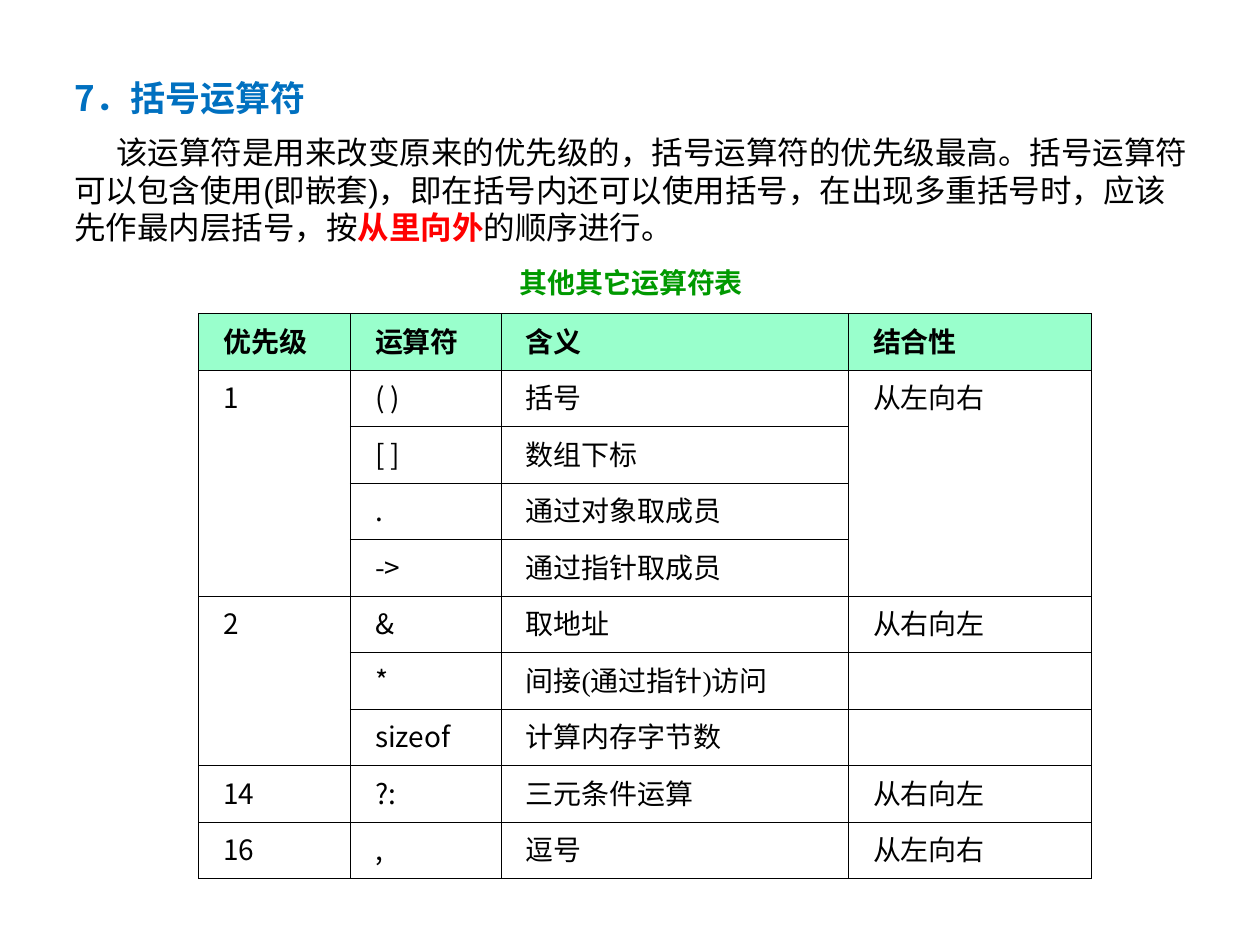
"""Slide on the bracket operator with a table of other operators."""
from lxml.etree import SubElement
from pptx import Presentation
from pptx.dml.color import RGBColor
from pptx.enum.text import MSO_ANCHOR, PP_ALIGN
from pptx.oxml.ns import qn
from pptx.util import Cm, Pt

SANS, SERIF, LATIN = "Noto Sans CJK SC", "Times New Roman", "Arial"
BLACK = "000000"


def add_run(paragraph, text, size, font, color=BLACK, bold=False):
    run = paragraph.add_run()
    run.text = text
    run.font.size = Pt(size)
    run.font.bold = bold
    run.font.name = font
    run.font.color.rgb = RGBColor.from_string(color)
    SubElement(run._r.get_or_add_rPr(), qn("a:ea"), typeface=SANS)


def add_text(left, top, width, height, side_margins):
    frame = slide.shapes.add_textbox(Cm(left), Cm(top), Cm(width), Cm(height)).text_frame
    frame.word_wrap = True
    frame.vertical_anchor = MSO_ANCHOR.MIDDLE
    frame.margin_left, frame.margin_right = [Cm(margin) for margin in side_margins]
    return frame.paragraphs[0]


deck = Presentation()
deck.slide_width, deck.slide_height = Cm(25.4), Cm(19.05)
slide = deck.slides.add_slide(deck.slide_layouts[6])

heading = add_text(1, 1.32, 11.2, 1.3, (0.5, 0.46))
add_run(heading, "7．括号运算符", 20, SANS, "0070C0", True)

explanation = add_text(1, 2.45, 23.6, 2.74, (0.5, 0.46))
explanation.line_spacing = Pt(21.6)
explanation._p.get_or_add_pPr().set("indent", str(Cm(0.84)))
for text, color, bold in [
    ("该运算符是用来改变原来的优先级的，括号运算符的优先级最高。括号运算符可以包含使用(即嵌套)，"
     "即在括号内还可以使用括号，在出现多重括号时，应该先作最内层括号，按", BLACK, False),
    ("从里向外", "FF0000", True),
    ("的顺序进行。", BLACK, False),
]:
    add_run(explanation, text, 18, LATIN, color, bold)

operators = [
    ("优先级", "运算符", "含义", "结合性"),
    ("1", "( )", "括号", "从左向右"),
    ("", "[ ]", "数组下标", ""),
    ("", ".", "通过对象取成员", ""),
    ("", "->", "通过指针取成员", ""),
    ("2", "&", "取地址", "从右向左"),
    ("", "*", "间接(通过指针)访问", ""),
    ("", "sizeof", "计算内存字节数", ""),
    ("14", "?:", "三元条件运算", "从右向左"),
    ("16", ",", "逗号", "从左向右"),
]
column_widths = [3.06, 3.04, 7, 4.9]
row_height = 1.14
table = slide.shapes.add_table(
    len(operators), len(column_widths), Cm(4), Cm(6.32),
    Cm(sum(column_widths)), Cm(row_height * len(operators))).table
table.first_row = table.horz_banding = False
for column, width in zip(table.columns, column_widths):
    column.width = Cm(width)

for row, entries in enumerate(operators):
    table.rows[row].height = Cm(row_height)
    for column, entry in enumerate(entries):
        cell = table.cell(row, column)
        cell.margin_left, cell.margin_right = Cm(0.5), Cm(0.46)
        for side in ("lnL", "lnR", "lnT", "lnB"):
            border = SubElement(cell._tc.get_or_add_tcPr(), qn("a:" + side), w=str(Pt(0.45)))
            SubElement(SubElement(border, qn("a:solidFill")), qn("a:srgbClr"), val=BLACK)
        if row == 0:
            cell.fill.solid()
            cell.fill.fore_color.rgb = RGBColor.from_string("99FFCC")
        else:
            cell.fill.background()
        paragraph = cell.text_frame.paragraphs[0]
        if entry:
            font = SANS if row and column < 2 else SERIF
            add_run(paragraph, entry, 16, font, bold=row == 0)
        else:
            SubElement(paragraph._p, qn("a:endParaRPr"), sz="1600")

for first, last, column in [(1, 4, 0), (1, 4, 3), (5, 7, 0)]:
    table.cell(first, column).merge(table.cell(last, column))

caption = add_text(1.3, 5.33, 22.86, 0.71, (0.25, 0.25))
caption.alignment = PP_ALIGN.CENTER
add_run(caption, "其他其它运算符表", 16, LATIN, "009900", True)

deck.save("out.pptx")
